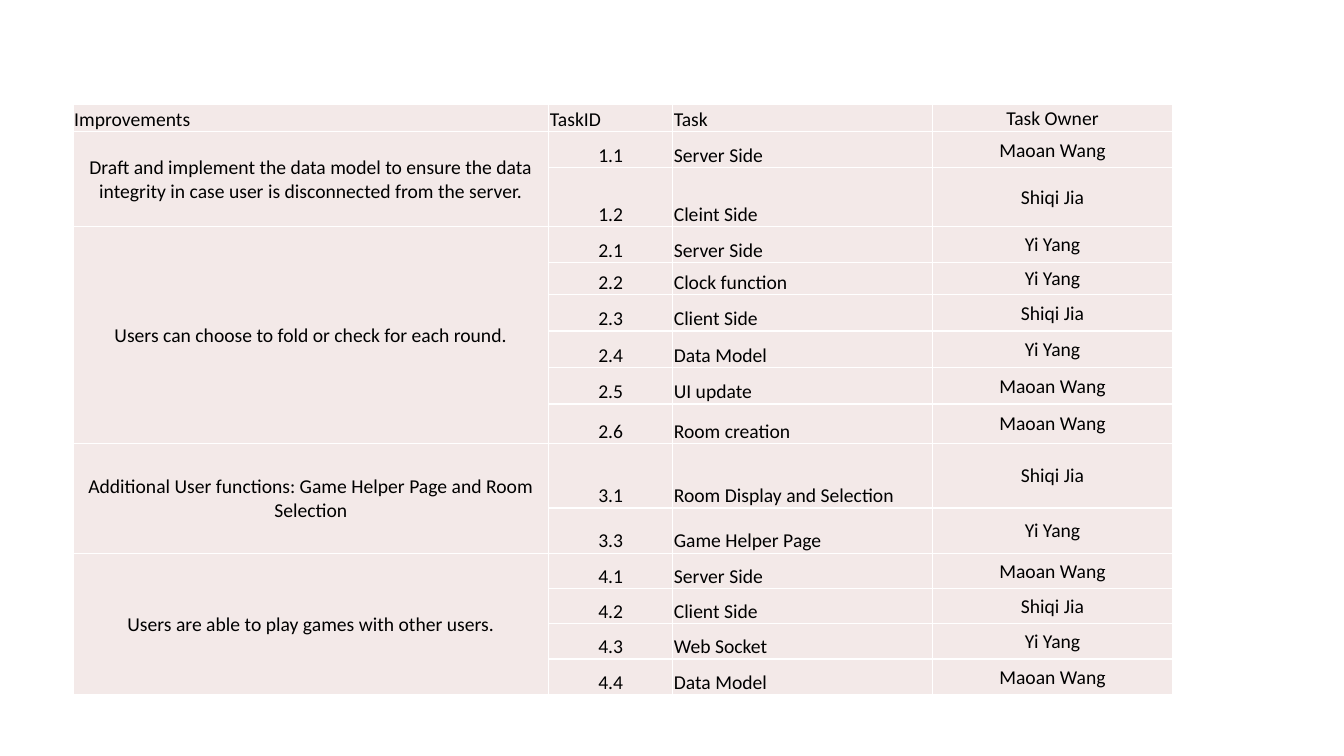
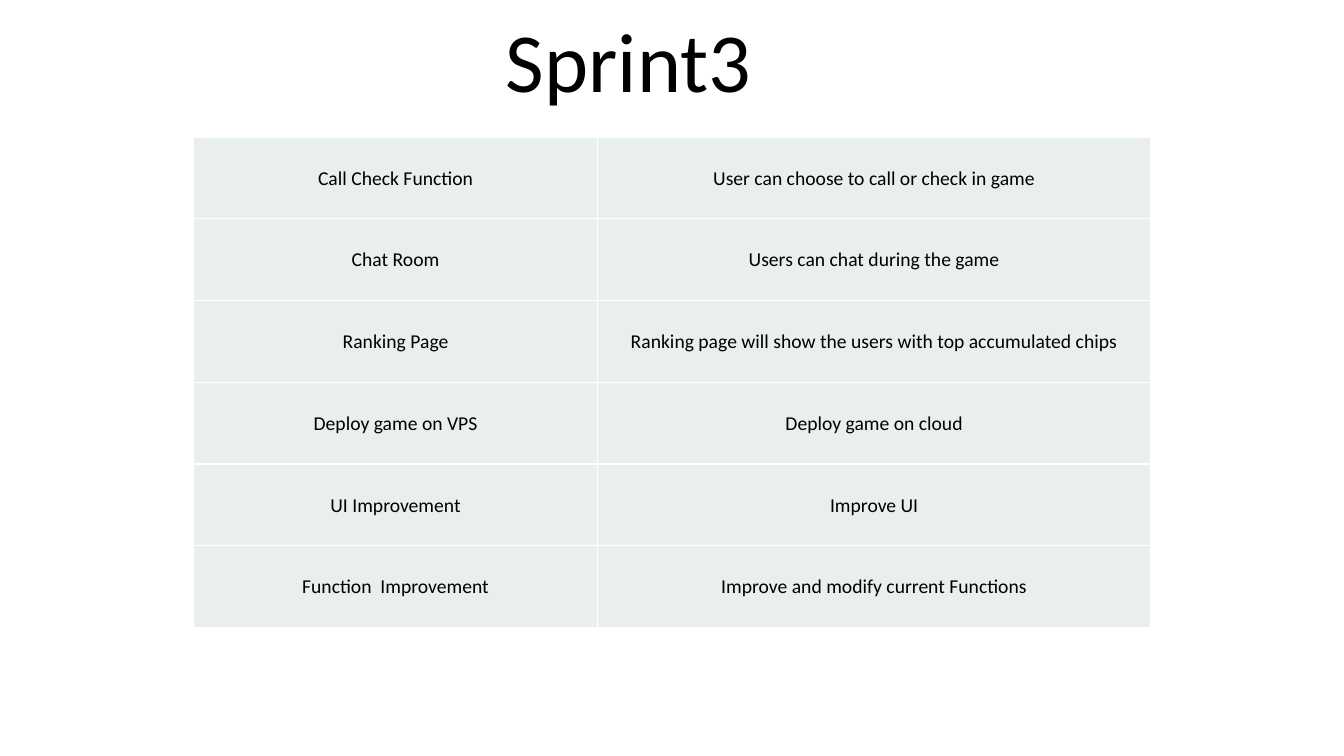
"""Build two sprint planning slides: task ownership and the Sprint3 backlog."""
from lxml import etree
from pptx import Presentation
from pptx.dml.color import RGBColor
from pptx.enum.text import MSO_ANCHOR, PP_ALIGN
from pptx.oxml.ns import qn
from pptx.util import Cm, Pt

LEFT, CENTER = PP_ALIGN.LEFT, PP_ALIGN.CENTER
MIDDLE, BOTTOM = MSO_ANCHOR.MIDDLE, MSO_ANCHOR.BOTTOM

COLORS = {"text": "000000", "border": "FFFFFF", "tasks": "F3E9E8", "backlog": "E8EFEC"}
FONT = "Calibri"
BODY_SIZE, TITLE_SIZE = 14, 60
CELL_MARGINS = {
    "margin_left": Cm(0.03),
    "margin_right": Cm(0.03),
    "margin_top": Cm(0.03),
    "margin_bottom": Cm(0),
}

CENTERED = (CENTER, MIDDLE)
CENTERED_LOW = (CENTER, BOTTOM)
LEFT_LOW = (LEFT, BOTTOM)
TASK_HEADER_LAYOUT = [LEFT_LOW, LEFT_LOW, LEFT_LOW, CENTERED]
TASK_LAYOUT = [CENTERED, CENTERED_LOW, LEFT_LOW, CENTERED]

TASK_HEADER = ["Improvements", "TaskID", "Task", "Task Owner"]
IMPROVEMENTS = [
    ("Draft and implement the data model to ensure the data integrity "
     "in case user is disconnected from the server.", [
         ("1.1", "Server Side", "Maoan Wang"),
         ("1.2", "Cleint Side", "Shiqi Jia"),
     ]),
    ("Users can choose to fold or check for each round.", [
        ("2.1", "Server Side", "Yi Yang"),
        ("2.2", "Clock function", "Yi Yang"),
        ("2.3", "Client Side", "Shiqi Jia"),
        ("2.4", "Data Model", "Yi Yang"),
        ("2.5", "UI update", "Maoan Wang"),
        ("2.6", "Room creation", "Maoan Wang"),
    ]),
    ("Additional User functions: Game Helper Page and Room Selection", [
        ("3.1", "Room Display and Selection", "Shiqi Jia"),
        ("3.3", "Game Helper Page", "Yi Yang"),
    ]),
    ("Users are able to play games with other users.", [
        ("4.1", "Server Side", "Maoan Wang"),
        ("4.2", "Client Side", "Shiqi Jia"),
        ("4.3", "Web Socket", "Yi Yang"),
        ("4.4", "Data Model", "Maoan Wang"),
    ]),
]
TASK_COLUMNS = [11.99, 3.12, 6.55, 6.05]
TASK_ROWS = [0.69, 0.91, 1.48, 0.9, 0.81] + [0.92] * 3 + [0.99, 1.63, 1.14] + [0.89] * 4

BACKLOG = [
    ("Call Check Function", "User can choose to call or check in game"),
    ("Chat Room", "Users can chat during the game"),
    ("Ranking Page", "Ranking page will show the users with top accumulated chips"),
    ("Deploy game on VPS", "Deploy game on cloud"),
    ("UI Improvement", "Improve UI"),
    ("Function  Improvement", "Improve and modify current Functions"),
]
BACKLOG_COLUMNS = [10.18, 13.94]
BACKLOG_ROW = 2.06


def set_format(target, values):
    for attribute, value in values.items():
        setattr(target, attribute, value)


def write_text(frame, text, size, align):
    paragraph = frame.paragraphs[0]
    paragraph.alignment = align
    run = paragraph.add_run()
    run.text = text
    set_format(run.font, {"name": FONT, "size": Pt(size), "bold": False})
    run.font.color.rgb = RGBColor.from_string(COLORS["text"])


def add_borders(cell):
    properties = cell._tc.get_or_add_tcPr()
    for side in ("a:lnL", "a:lnR", "a:lnT", "a:lnB"):
        line = etree.SubElement(properties, qn(side), w=str(Pt(1)))
        fill = etree.SubElement(line, qn("a:solidFill"))
        etree.SubElement(fill, qn("a:srgbClr"), val=COLORS["border"])


def style_cell(cell, fill, anchor):
    add_borders(cell)
    cell.fill.solid()
    cell.fill.fore_color.rgb = RGBColor.from_string(fill)
    set_format(cell, {**CELL_MARGINS, "vertical_anchor": anchor})


def add_grid(slide, left, top, columns, heights, rows, layouts, fill):
    frame = slide.shapes.add_table(
        len(heights), len(columns), Cm(left), Cm(top), Cm(sum(columns)), Cm(sum(heights)))
    grid = frame.table
    set_format(grid, {"first_row": False, "horz_banding": False})
    for column, width in zip(grid.columns, columns):
        column.width = Cm(width)
    for row, height, texts, layout in zip(grid.rows, heights, rows, layouts):
        row.height = Cm(height)
        for cell, text, (align, anchor) in zip(row.cells, texts, layout):
            style_cell(cell, fill, anchor)
            if text:
                write_text(cell.text_frame, text, BODY_SIZE, align)
    return grid


def add_title(slide, text):
    box = slide.shapes.add_textbox(Cm(12.5), Cm(0.08), Cm(13.56), Cm(2.82))
    box.text_frame.word_wrap = True
    write_text(box.text_frame, text, TITLE_SIZE, LEFT)


def add_task_slide(slide):
    rows, groups = [TASK_HEADER], []
    for improvement, tasks in IMPROVEMENTS:
        groups.append((len(rows), len(rows) + len(tasks) - 1))
        for index, task in enumerate(tasks):
            rows.append([improvement if index == 0 else "", *task])
    layouts = [TASK_HEADER_LAYOUT] + [TASK_LAYOUT] * (len(rows) - 1)
    grid = add_grid(slide, 1.84, 2.63, TASK_COLUMNS, TASK_ROWS, rows, layouts, COLORS["tasks"])
    for first, last in groups:
        grid.cell(first, 0).merge(grid.cell(last, 0))


def add_backlog_slide(slide):
    count = len(BACKLOG)
    layouts = [[CENTERED] * len(BACKLOG_COLUMNS)] * count
    add_grid(slide, 4.88, 3.45, BACKLOG_COLUMNS, [BACKLOG_ROW] * count,
             BACKLOG, layouts, COLORS["backlog"])
    add_title(slide, "Sprint3")


def main():
    deck = Presentation()
    set_format(deck, {"slide_width": Cm(33.87), "slide_height": Cm(19.05)})
    blank = deck.slide_layouts[6]
    for build in (add_task_slide, add_backlog_slide):
        build(deck.slides.add_slide(blank))
    deck.save("out.pptx")


if __name__ == "__main__":
    main()
